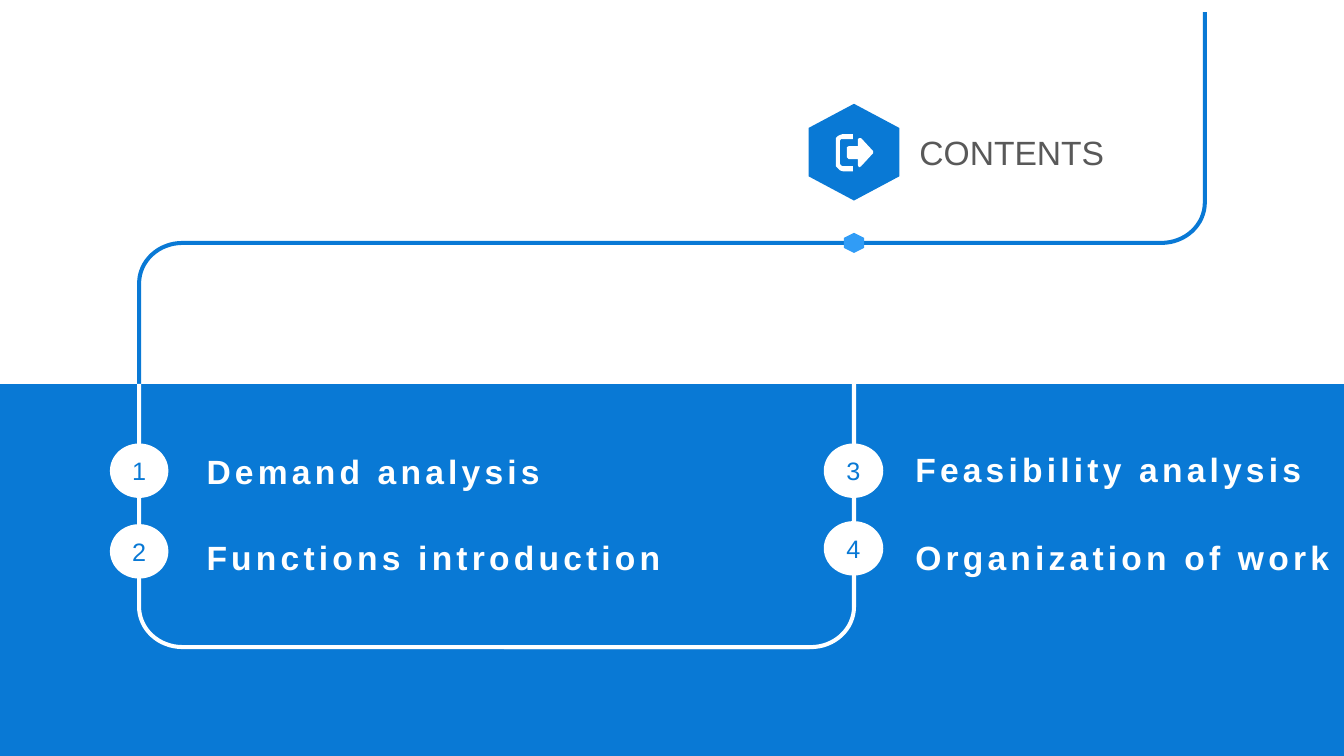
"""Build a contents slide with a winding track linking four numbered topics."""
from dataclasses import dataclass
from math import cos, pi, sin

from pptx import Presentation
from pptx.dml.color import RGBColor
from pptx.enum.shapes import MSO_SHAPE
from pptx.enum.text import MSO_ANCHOR, PP_ALIGN
from pptx.util import Inches, Pt

RECT, OVAL = MSO_SHAPE.RECTANGLE, MSO_SHAPE.OVAL
TOP, MIDDLE = MSO_ANCHOR.TOP, MSO_ANCHOR.MIDDLE
LEFT, CENTER = PP_ALIGN.LEFT, PP_ALIGN.CENTER


@dataclass(frozen=True)
class Theme:
    blue: str = "0979D5"
    light: str = "309CF6"
    gray: str = "595959"
    white: str = "FFFFFF"
    font: str = "Arial"
    heading: int = 24
    number: int = 18


T = Theme()
TITLE = "CONTENTS"
TOPICS = [
    ("1", "Demand analysis", (1.09, 4.4, 0.58, 0.54), (1.95, 4.42, 6.08, 0.5)),
    ("2", "Functions introduction", (1.09, 5.2, 0.58, 0.54), (1.95, 5.28, 4.98, 0.91)),
    ("3", "Feasibility analysis", (8.17, 4.4, 0.59, 0.54), (8.98, 4.4, 4.61, 0.5)),
    ("4", "Organization of work", (8.17, 5.17, 0.59, 0.54), (8.98, 5.28, 4.37, 0.5)),
]
BAND_TOP, TRACK_TOP = 3.81, 0.12
THICK, RX, RY = 0.04, 0.45, 0.42
TRACKS = [
    ((1.81, 2.81), (-1, -1), (8.47, BAND_TOP), T.blue),
    ((1.81, 6.02), (-1, 1), (8.03, BAND_TOP), T.white),
    ((11.52, 2.01), (1, 1), (8.47, TRACK_TOP), T.blue),
    ((8.04, 6.02), (1, 1), (5, TRACK_TOP), T.white),
]
BRACKET = [(8.46, 1.33), (8.36, 1.33), (8.33, 1.34), (8.31, 1.35), (8.29, 1.37),
           (8.29, 1.65), (8.31, 1.67), (8.33, 1.69), (8.36, 1.7), (8.46, 1.7),
           (8.46, 1.65), (8.36, 1.65), (8.34, 1.64), (8.33, 1.62), (8.33, 1.4),
           (8.34, 1.38), (8.36, 1.38), (8.46, 1.38)]
ARROW = [(8.4, 1.46), (8.42, 1.45), (8.51, 1.45), (8.51, 1.38), (8.52, 1.37),
         (8.54, 1.37), (8.66, 1.5), (8.66, 1.52), (8.54, 1.65), (8.52, 1.66),
         (8.51, 1.64), (8.51, 1.58), (8.42, 1.58), (8.4, 1.56)]


def color(value):
    return RGBColor.from_string(value)


def paint(sp, fill):
    sp.shadow.inherit = False
    sp.fill.solid()
    sp.fill.fore_color.rgb = color(fill)
    sp.line.fill.background()


def outline(shapes, fill, *paths):
    paths = [[(Inches(x), Inches(y)) for x, y in path] for path in paths]
    fb = shapes.build_freeform(*paths[0][0])
    fb.add_line_segments(paths[0][1:])
    for path in paths[1:]:
        fb.move_to(*path[0])
        fb.add_line_segments(path[1:])
    paint(fb.convert_to_shape(), fill)


def track(shapes, center, side, end, fill):
    (cx, cy), (sx, sy), (end_x, end_y) = center, side, end

    def edge(inset):
        rx, ry = RX - inset, RY - inset
        angles = [i * pi / 32 for i in range(17)]
        arc = [(cx + sx * rx * cos(a), cy + sy * ry * sin(a)) for a in angles]
        return [(cx + sx * rx, end_y)] + arc + [(end_x, cy + sy * ry)]

    outline(shapes, fill, edge(0) + edge(THICK)[::-1])


def hexagon(shapes, cx, cy, half_w, half_h, fill):
    right = [(0, -1), (1, -0.5), (1, 0.5), (0, 1), (-1, 0.5), (-1, -0.5)]
    outline(shapes, fill, [(cx + x * half_w, cy + y * half_h) for x, y in right])


def write(sp, text, size, fill, align, anchor, bold=False, spacing=None):
    tf = sp.text_frame
    tf.word_wrap = True
    tf.vertical_anchor = anchor
    tf.margin_right = 0 if align == LEFT else tf.margin_right
    p = tf.paragraphs[0]
    p.alignment = align
    r = p.add_run()
    r.text = text
    p.font.name, p.font.size, p.font.bold = T.font, Pt(size), bold
    p.font.color.rgb = color(fill)
    if spacing:
        r.font._element.set("spc", str(spacing * 100))


prs = Presentation()
prs.slide_width, prs.slide_height = Inches(13.33), Inches(7.5)
s = prs.slides.add_slide(prs.slide_layouts[5])

title = s.shapes.title
title.left, title.top, title.width, title.height = map(Inches, (8.94, 1.26, 2.19, 0.5))
write(title, TITLE, T.heading, T.gray, CENTER, TOP)

band = s.shapes.add_shape(RECT, 0, Inches(BAND_TOP), prs.slide_width,
                          prs.slide_height - Inches(BAND_TOP))
paint(band, T.blue)
for spec in TRACKS:
    track(s.shapes, *spec)
hexagon(s.shapes, 8.47, 2.41, 0.1, 0.1, T.light)

badge = s.shapes.add_group_shape().shapes
hexagon(badge, 8.47, 1.51, 0.45, 0.48, T.blue)
outline(badge, T.white, BRACKET, ARROW)

for number, label, dot_box, label_box in TOPICS:
    dot = s.shapes.add_shape(OVAL, *map(Inches, dot_box))
    paint(dot, T.white)
    dot.text_frame.margin_left = dot.text_frame.margin_right = 0
    write(dot, number, T.number, T.blue, CENTER, MIDDLE)
    tb = s.shapes.add_textbox(*map(Inches, label_box))
    write(tb, label, T.heading, T.white, LEFT, TOP, bold=True, spacing=3)

prs.save("out.pptx")
